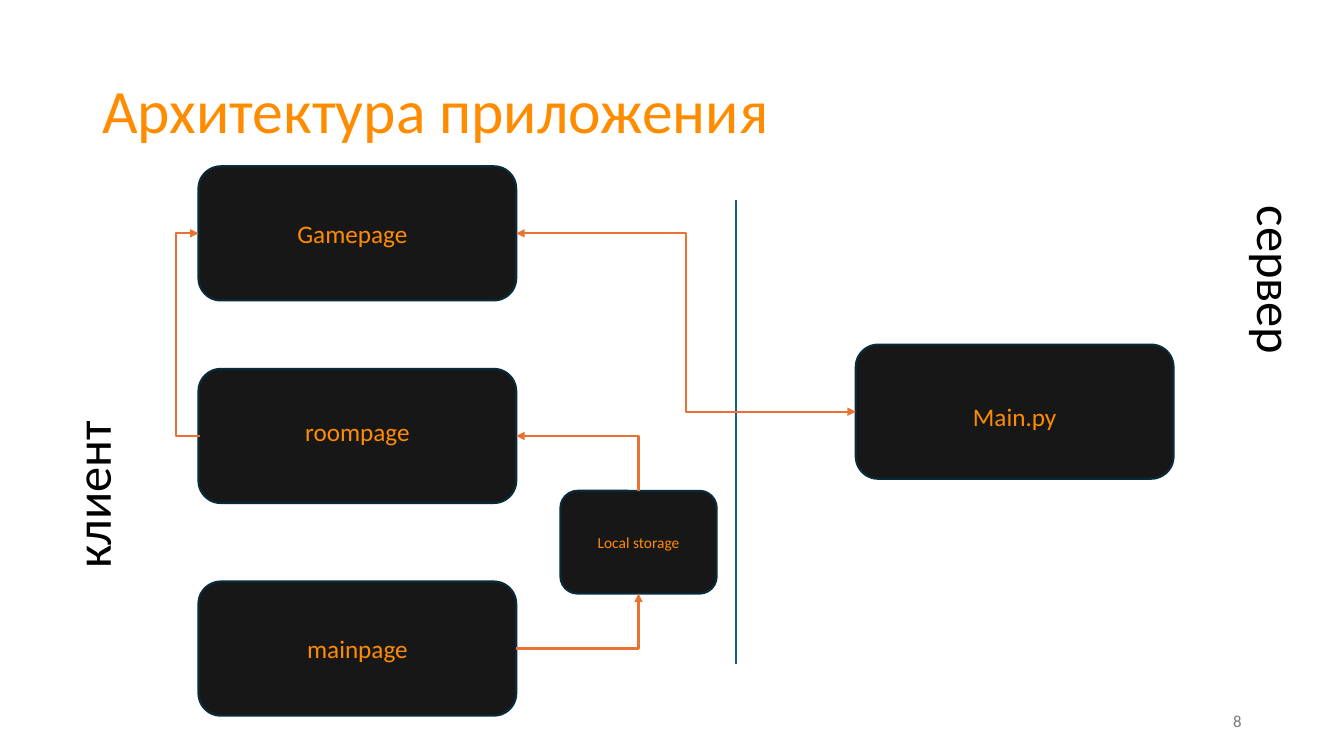
from math import cos, radians, sin

from lxml.etree import SubElement
from pptx import Presentation
from pptx.dml.color import RGBColor
from pptx.enum.shapes import MSO_CONNECTOR as Link, MSO_SHAPE as Shape
from pptx.enum.text import MSO_ANCHOR as Anchor, MSO_AUTO_SIZE as Fit, PP_ALIGN as Align
from pptx.oxml.ns import qn
from pptx.util import Pt

BLACK = RGBColor(0x00, 0x00, 0x00)
CARD = RGBColor(0x17, 0x17, 0x17)
CARD_EDGE = RGBColor(0x09, 0x2A, 0x39)
ORANGE = RGBColor(0xFF, 0x8C, 0x00)
ARROW = RGBColor(0xE9, 0x71, 0x32)
DIVIDER = RGBColor(0x15, 0x60, 0x82)
GREY = RGBColor(0x79, 0x79, 0x79)

CARD_W, CARD_H = 227, 95.8
LABEL_W = 198


def add_text(s, box, text, size, color, align=Align.LEFT, anchor=Anchor.TOP,
             fit=Fit.NONE, vert=None, spacing=None):
    tf = s.shapes.add_textbox(*map(Pt, box)).text_frame
    for name, value in {"word_wrap": True, "auto_size": fit,
                        "vertical_anchor": anchor}.items():
        setattr(tf, name, value)
    if vert:
        tf._txBody.bodyPr.set("vert", vert)
    p = tf.paragraphs[0]
    p.alignment, p.line_spacing = align, spacing
    r = p.add_run()
    r.text = text
    for name, value in {"name": "Calibri", "size": Pt(size)}.items():
        setattr(r.font, name, value)
    r.font.color.rgb = color


def add_card(s, box, text, size=18, shift=(0, 0)):
    """Dark rounded card with its label, shifted from the card centre."""
    x, y, w, h = box
    sp = s.shapes.add_shape(Shape.ROUNDED_RECTANGLE, *map(Pt, box))
    sp.shadow.inherit = False
    sp.fill.solid()
    sp.fill.fore_color.rgb = CARD
    sp.line.color.rgb, sp.line.width = CARD_EDGE, Pt(1.5)
    label_h = size * 1.2 + 7.4
    label = (x + (w - LABEL_W) / 2 + shift[0], y + (h - label_h) / 2 + shift[1],
             LABEL_W, label_h)
    add_text(s, label, text, size, ORANGE, Align.CENTER, fit=Fit.SHAPE_TO_FIT_TEXT)


def add_line(s, kind, start, end, color):
    line = s.shapes.add_connector(kind, *map(Pt, start + end))
    line.line.color.rgb, line.line.width = color, Pt(1.5)
    SubElement(line._element.spPr, qn("a:effectLst"))
    return line


def add_elbow(s, start, end, geometry, turn=0, adjust=None, ends=("tailEnd",)):
    """Bent arrow; turn is the rotation that sets the direction it leaves in."""
    cx, cy = [(a + b) / 2 for a, b in zip(start, end)]
    c, k = round(cos(radians(turn))), round(sin(radians(turn)))
    unturned = [(cx + (x - cx) * c + (y - cy) * k, cy - (x - cx) * k + (y - cy) * c)
                for x, y in (start, end)]
    line = add_line(s, Link.ELBOW, *unturned, ARROW)
    spPr = line._element.spPr
    if turn:
        spPr.find(qn("a:xfrm")).set("rot", str(turn * 60000))
    geom = spPr.find(qn("a:prstGeom"))
    geom.set("prst", geometry)
    if adjust:
        guides = geom.find(qn("a:avLst"))
        if guides is None:
            guides = SubElement(geom, qn("a:avLst"))
        SubElement(guides, qn("a:gd"), name="adj1", fmla=f"val {adjust}")
    ln = spPr.find(qn("a:ln"))
    for tag in ends:
        SubElement(ln, qn("a:" + tag), type="triangle")


def add_header(s, box):
    add_text(s, box, "Архитектура приложения", 44, ORANGE,
             anchor=Anchor.MIDDLE, spacing=0.9)


def add_sides(s, box):
    """Divider between client and server, with the two side captions."""
    x, y, w, h = box
    add_line(s, Link.STRAIGHT, (x + 486, y + 2.6), (x + 486, y + 334.5), DIVIDER)
    for left, top, text, vert in ((x, y + 4, "клиент", "vert270"),
                                  (x + w - 58.3, y, "сервер", "vert")):
        add_text(s, (left, top, 58.3, 269.3), text, 36, BLACK,
                 fit=Fit.SHAPE_TO_FIT_TEXT, vert=vert)


def add_diagram(s, box):
    x, y, w, h = box
    right, mid = x + CARD_W, CARD_H / 2
    game_y, room_y, main_y = y, y + 144.7, y + h - CARD_H
    server_x, server_y = x + w - CARD_W, y + 127.4
    store_x, store_y, store_w, store_h = x + 258.5, y + 231.8, 111.6, 73.4
    store_mid = store_x + store_w / 2

    # Pages, server and storage
    for left, top, text, shift in (
            (server_x, server_y, "Main.py", (0, 3.2)),
            (x, main_y, "mainpage", (0, 0.3)),
            (x, room_y, "roompage", (0, -3.2)),
            (x, game_y, "Gamepage", (-3.6, 0))):
        add_card(s, (left, top, CARD_W, CARD_H), text, shift=shift)
    add_card(s, (store_x, store_y, store_w, store_h), "Local storage", 11)

    # Data flow
    add_elbow(s, (right, main_y + mid), (store_mid, store_y + store_h), "bentConnector2")
    add_elbow(s, (store_mid, store_y), (right, room_y + mid), "bentConnector2", turn=270)
    add_elbow(s, (x + 1, room_y + mid), (x, game_y + mid), "bentConnector3",
              turn=180, adjust=1750000)
    add_elbow(s, (right, game_y + mid), (server_x, server_y + mid), "bentConnector3",
              ends=("headEnd", "tailEnd"))


def add_page_number(s, box):
    add_text(s, box, "8", 12, GREY, Align.RIGHT, Anchor.MIDDLE)


def main():
    prs = Presentation()
    prs.slide_width, prs.slide_height = Pt(960), Pt(540)
    s = prs.slides.add_slide(prs.slide_layouts[6])
    add_header(s, (66, 28.8, 828, 104.4))
    add_sides(s, (39.6, 140, 897.8, 334.5))
    add_diagram(s, (141.8, 118.8, 696.5, 392.4))
    add_page_number(s, (678, 500.5, 216, 28.8))
    prs.save("out.pptx")


if __name__ == "__main__":
    main()
